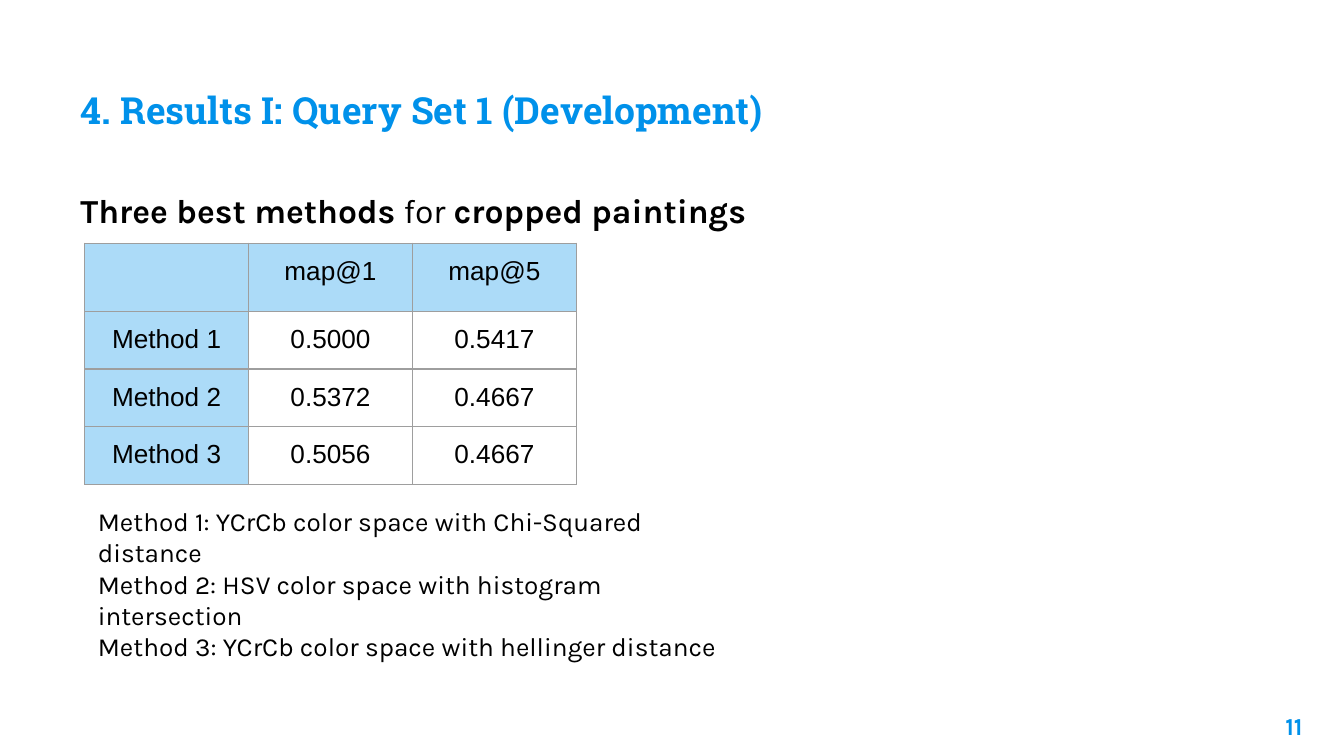
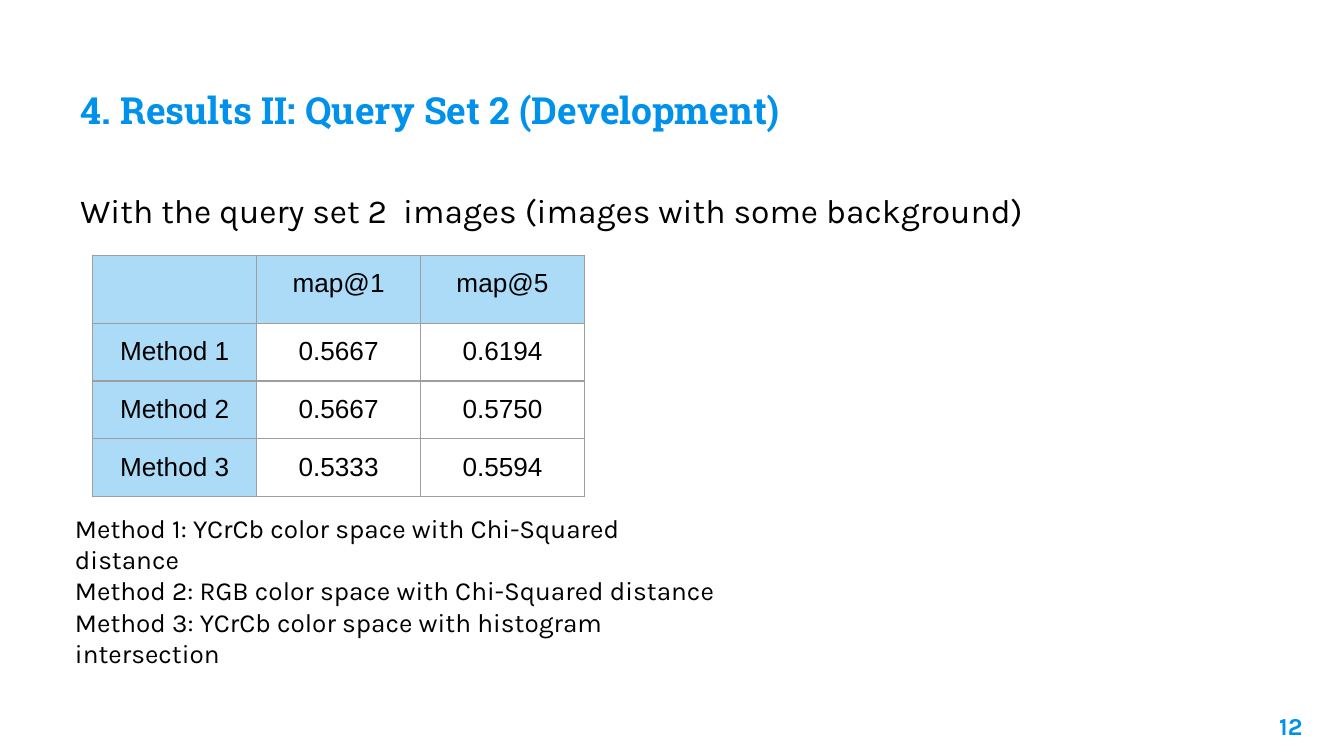
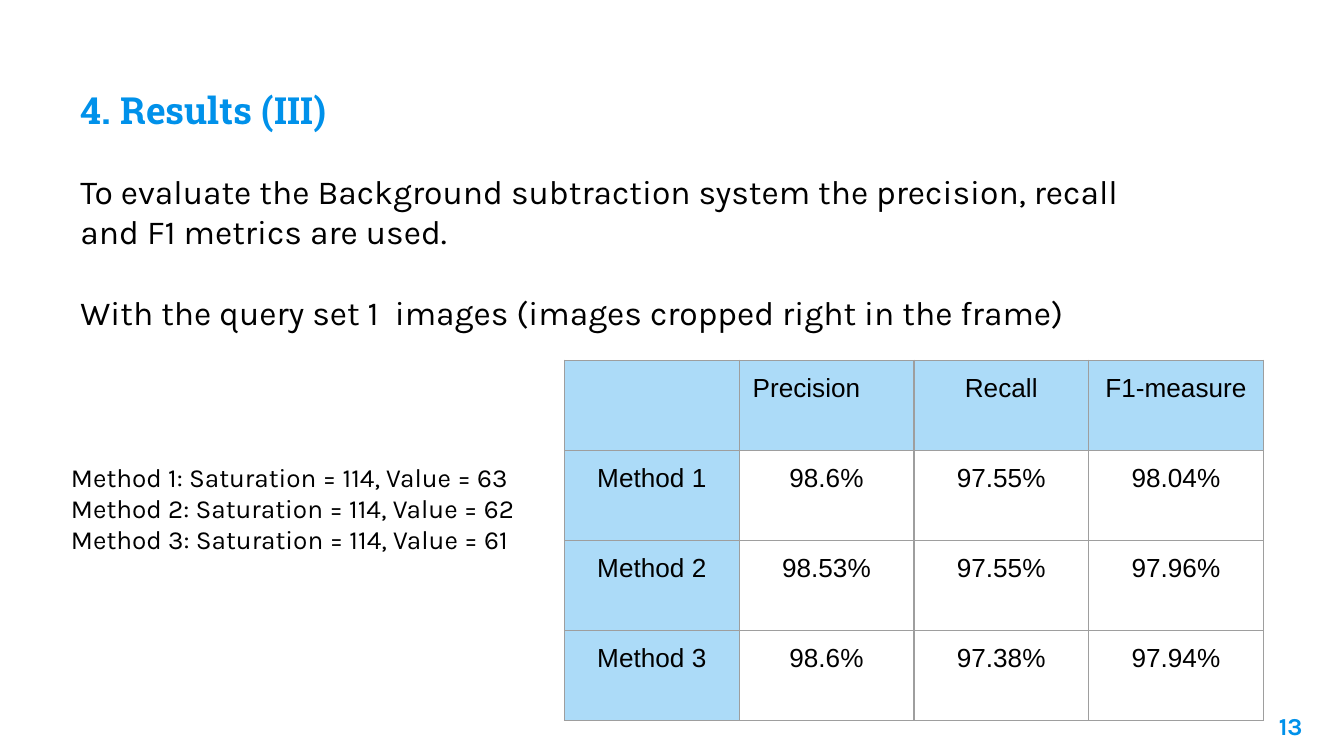
from lxml import etree
from pptx import Presentation
from pptx.dml.color import RGBColor
from pptx.enum.text import MSO_ANCHOR, MSO_AUTO_SIZE, PP_ALIGN
from pptx.oxml.ns import qn
from pptx.util import Inches, Pt

BLUE = RGBColor(0x00, 0x91, 0xEA)
PALE_BLUE = RGBColor(0xAC, 0xDB, 0xF8)
GREY = RGBColor(0x9E, 0x9E, 0x9E)
BLACK = RGBColor(0x00, 0x00, 0x00)

TITLE_FONT, BODY_FONT, TABLE_FONT = "Roboto Slab", "Karla", "Arial"
SLIDE_WIDTH = Inches(10)
SLIDE_HEIGHT = SLIDE_WIDTH * 9 // 16
TITLE_BOX = (0.5, 0.45, 9, 0.63)
NUMBER_BOX = (9.19, 5.19, 0.6, 0.43)
FIRST_NUMBER = 11
INSET = Inches(0.1)
TITLE_ONLY = 5


def style(font, name, size, color=BLACK, bold=False):
    font.name, font.size, font.bold = name, Pt(size), bold
    font.color.rgb = color


def prepare_frame(frame, anchor=MSO_ANCHOR.TOP):
    frame.word_wrap = True
    frame.auto_size = MSO_AUTO_SIZE.NONE
    frame.vertical_anchor = anchor
    frame.margin_left = frame.margin_right = INSET
    frame.margin_top = frame.margin_bottom = INSET


def add_title(page, text):
    title = page.shapes.title
    title.left, title.top, title.width, title.height = map(Inches, TITLE_BOX)
    frame = title.text_frame
    prepare_frame(frame, MSO_ANCHOR.BOTTOM)
    frame.text = text
    para = frame.paragraphs[0]
    para.alignment = PP_ALIGN.LEFT
    style(para.runs[0].font, TITLE_FONT, 20, BLUE, True)


def add_text(page, box, paragraphs, size, color=BLACK, align=PP_ALIGN.LEFT, gap=0):
    """Each paragraph is a list of (text, bold) spans; gap is the points between paragraphs."""
    frame = page.shapes.add_textbox(*map(Inches, box)).text_frame
    prepare_frame(frame)
    for index, spans in enumerate(paragraphs):
        para = frame.add_paragraph() if index else frame.paragraphs[0]
        para.alignment = align
        if index and gap:
            para.space_before = Pt(gap)
        for text, bold in spans:
            span = para.add_run()
            span.text = text
            style(span.font, BODY_FONT, size, color, bold)


def plain(lines):
    return [[(line, False)] for line in lines]


def add_borders(cell):
    properties = cell._tc.get_or_add_tcPr()
    for side in ("a:lnL", "a:lnR", "a:lnT", "a:lnB"):
        line = etree.SubElement(properties, qn(side), w=str(Pt(0.75)))
        fill = etree.SubElement(line, qn("a:solidFill"))
        etree.SubElement(fill, qn("a:srgbClr"), val=str(GREY))


def format_cell(cell, text, shaded, align):
    cell.margin_left = cell.margin_right = INSET
    cell.margin_top = cell.margin_bottom = INSET
    add_borders(cell)
    if shaded:
        cell.fill.solid()
        cell.fill.fore_color.rgb = PALE_BLUE
    else:
        cell.fill.background()
    if text:
        cell.text_frame.text = text
        para = cell.text_frame.paragraphs[0]
        para.alignment = align
        style(para.runs[0].font, TABLE_FONT, 14)


def add_results(page, left, top, column_width, header_height, row_height,
                metrics, scores, left_aligned=()):
    """Draw a table with one row per method and one column per metric."""
    rows = [["", *metrics]]
    rows += [[f"Method {number}", *values] for number, values in enumerate(scores, 1)]
    width = column_width * len(rows[0])
    height = header_height + row_height * len(scores)
    table = page.shapes.add_table(len(rows), len(rows[0]), Inches(left), Inches(top),
                                  Inches(width), Inches(height)).table
    table.first_row = table.horz_banding = False
    for column in table.columns:
        column.width = Inches(column_width)
    for r, values in enumerate(rows):
        table.rows[r].height = Inches(row_height if r else header_height)
        for c, text in enumerate(values):
            align = PP_ALIGN.LEFT if text in left_aligned else PP_ALIGN.CENTER
            format_cell(table.cell(r, c), text, r == 0 or c == 0, align)


def add_methods(page, box, descriptions):
    lines = [f"Method {number}: {text}" for number, text in enumerate(descriptions, 1)]
    add_text(page, box, plain(lines), 14)


def add_page(deck, title):
    page = deck.slides.add_slide(deck.slide_layouts[TITLE_ONLY])
    number = FIRST_NUMBER + len(deck.slides) - 1
    add_text(page, NUMBER_BOX, [[(str(number), True)]], 13, BLUE, PP_ALIGN.RIGHT)
    add_title(page, title)
    return page


def add_query_page(deck, title, intro, table_at, scores, methods_at, methods):
    page = add_page(deck, title)
    add_text(page, (0.5, 1.31, 7.95, 0.5), [intro], 18)
    add_results(page, *table_at, 1.22, 0.5, 0.43, ["map@1", "map@5"], scores)
    add_methods(page, (*methods_at, 5.07, 0.91), methods)


def add_subtraction_page(deck):
    page = add_page(deck, "4. Results (III)")
    add_text(page, (0.5, 1.17, 7.95, 1.41), plain([
        "To evaluate the Background subtraction system the precision, recall "
        "and F1 metrics are used.",
        "With the query set 1  images (images cropped right in the frame)",
    ]), 18, gap=21.6)
    add_results(page, 4.2, 2.68, 1.3, 0.67, 0.67,
                ["Precision", "Recall", "F1-measure"],
                [["98.6%", "97.55%", "98.04%"],
                 ["98.53%", "97.55%", "97.96%"],
                 ["98.6%", "97.38%", "97.94%"]],
                left_aligned=("Precision",))
    add_methods(page, (0.43, 3.33, 3.5, 0.91),
                [f"Saturation = 114, Value = {value}" for value in (63, 62, 61)])


def main():
    deck = Presentation()
    deck.slide_width, deck.slide_height = SLIDE_WIDTH, SLIDE_HEIGHT
    add_query_page(
        deck, "4. Results I: Query Set 1 (Development)",
        [("Three best methods", True), (" for ", False), ("cropped paintings", True)],
        (0.63, 1.81),
        [["0.5000", "0.5417"], ["0.5372", "0.4667"], ["0.5056", "0.4667"]],
        (0.63, 3.66),
        ["YCrCb color space with Chi-Squared distance",
         "HSV color space with histogram intersection",
         "YCrCb color space with hellinger distance"])
    add_query_page(
        deck, "4. Results II: Query Set 2 (Development)",
        [("With the query set 2  images (images with some background)", False)],
        (0.69, 1.9),
        [["0.5667", "0.6194"], ["0.5667", "0.5750"], ["0.5333", "0.5594"]],
        (0.46, 3.71),
        ["YCrCb color space with Chi-Squared distance",
         "RGB color space with Chi-Squared distance",
         "YCrCb color space with histogram intersection"])
    add_subtraction_page(deck)
    deck.save("out.pptx")


if __name__ == "__main__":
    main()
